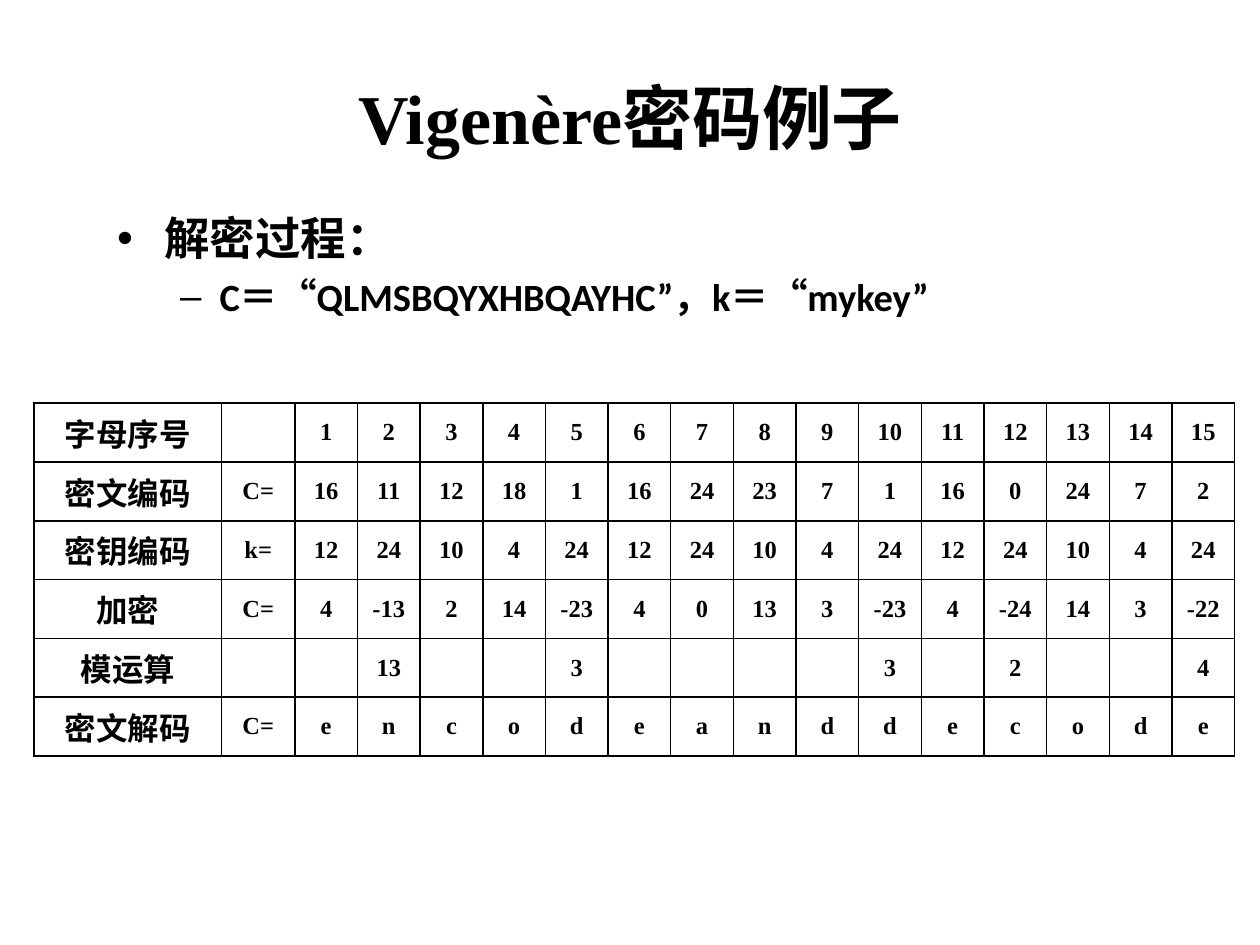
from lxml.etree import SubElement
from pptx import Presentation
from pptx.dml.color import RGBColor
from pptx.enum.text import MSO_ANCHOR, MSO_AUTO_SIZE, PP_ALIGN
from pptx.oxml.ns import qn
from pptx.util import Inches, Pt

BLACK = RGBColor(0x00, 0x00, 0x00)
WHITE = RGBColor(0xFF, 0xFF, 0xFF)
SERIF = "Times New Roman"
SANS = "Calibri"

ROWS = [
    ["字母序号", ""] + [str(n) for n in range(1, 16)],
    ["密文编码", "C="] + "16 11 12 18 1 16 24 23 7 1 16 0 24 7 2".split(),
    ["密钥编码", "k="] + "12 24 10 4 24 12 24 10 4 24 12 24 10 4 24".split(),
    ["加密", "C="] + "4 -13 2 14 -23 4 0 13 3 -23 4 -24 14 3 -22".split(),
    ["模运算", "", "", "13", "", "", "3", "", "", "", "", "3", "", "2", "", "", "4"],
    ["密文解码", "C="] + list("encodeanddecode"),
]


def add_text(p, text, size, font, align=None):
    p.alignment = align
    r = p.add_run()
    r.text = text
    r.font.size = Pt(size)
    r.font.name = font
    r.font.bold = True
    r.font.color.rgb = BLACK


def add_borders(cell):
    tcPr = cell._tc.get_or_add_tcPr()
    for i, side in enumerate(("a:lnL", "a:lnR", "a:lnT", "a:lnB")):
        ln = tcPr.makeelement(qn(side), {"w": str(Pt(1))})
        fill = SubElement(ln, qn("a:solidFill"))
        SubElement(fill, qn("a:srgbClr"), val=str(BLACK))
        tcPr.insert(i, ln)


prs = Presentation()
prs.slide_width, prs.slide_height = Inches(10), Inches(7.5)
s = prs.slides.add_slide(prs.slide_layouts[1])
s.background.fill.solid()
s.background.fill.fore_color.rgb = WHITE

title = s.shapes.title
title.left, title.top = Inches(0.5), Inches(0.3)
title.width, title.height = Inches(9), Inches(1.25)
title.text_frame.vertical_anchor = MSO_ANCHOR.MIDDLE
add_text(title.text_frame.paragraphs[0], "Vigenère密码例子", 40, SERIF, align=PP_ALIGN.CENTER)

body = s.placeholders[1]
body.left, body.top = Inches(0.83), Inches(1.62)
body.width, body.height = Inches(8.55), Inches(1.09)
tf = body.text_frame
tf.auto_size = MSO_AUTO_SIZE.NONE
add_text(tf.paragraphs[0], "解密过程：", 26, SANS)
p = tf.add_paragraph()
p.level = 1
add_text(p, "C＝“QLMSBQYXHBQAYHC”，k＝“mykey”", 22, SANS)

table = s.shapes.add_table(
    len(ROWS), len(ROWS[0]), Inches(0.27), Inches(3.2), Inches(9.53), Inches(2.8)
).table
table.first_row = table.horz_banding = False
widths = [1.49, 0.58] + [(9.53 - 1.49 - 0.58) / 15] * 15
for col, width in zip(table.columns, widths):
    col.width = Inches(width)

for i, row in enumerate(ROWS):
    for j, text in enumerate(row):
        cell = table.cell(i, j)
        cell.fill.background()
        cell.vertical_anchor = MSO_ANCHOR.MIDDLE
        add_borders(cell)
        if text:
            size = 18 if j == 0 else 14
            add_text(cell.text_frame.paragraphs[0], text, size, SERIF, align=PP_ALIGN.CENTER)

prs.save("out.pptx")
